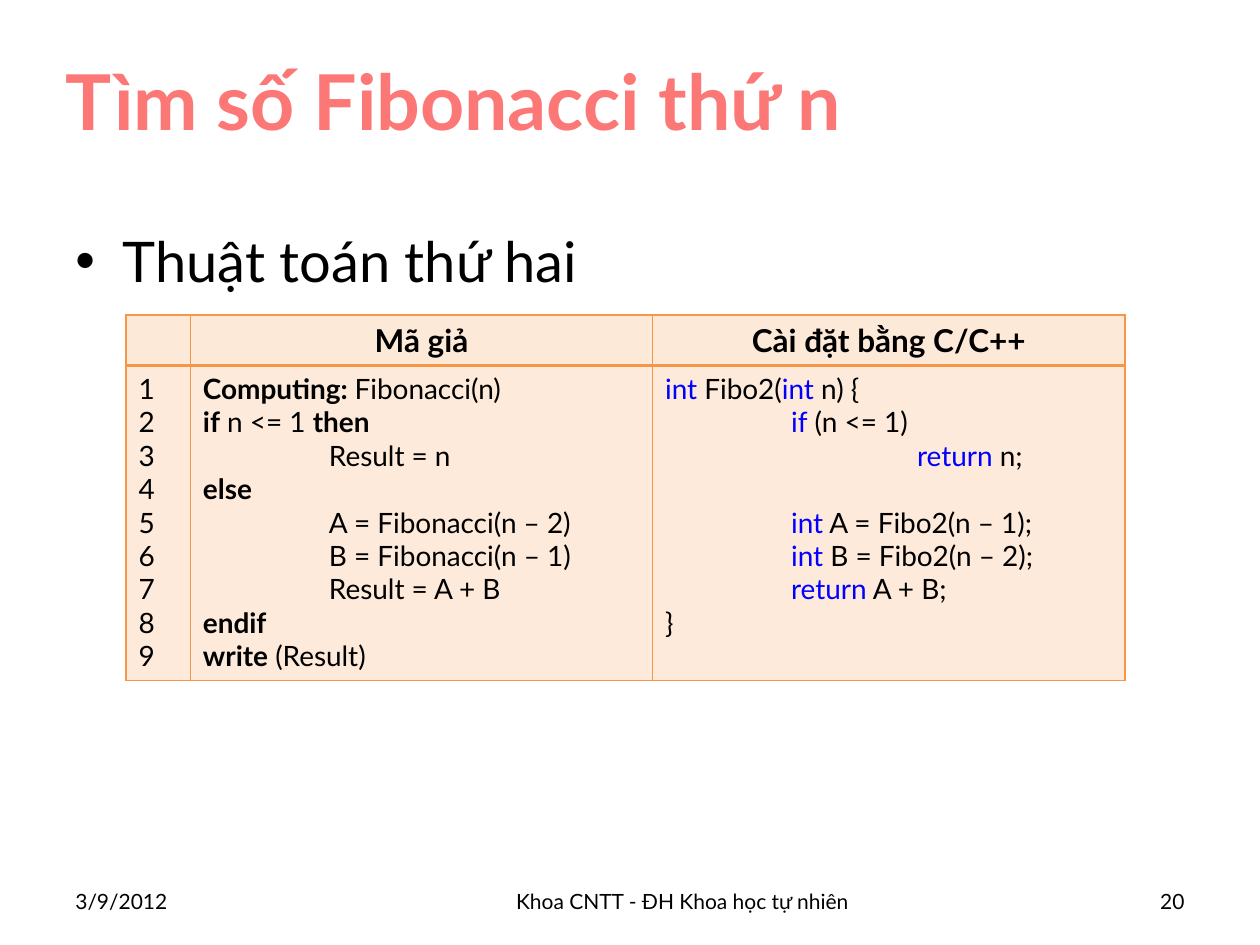
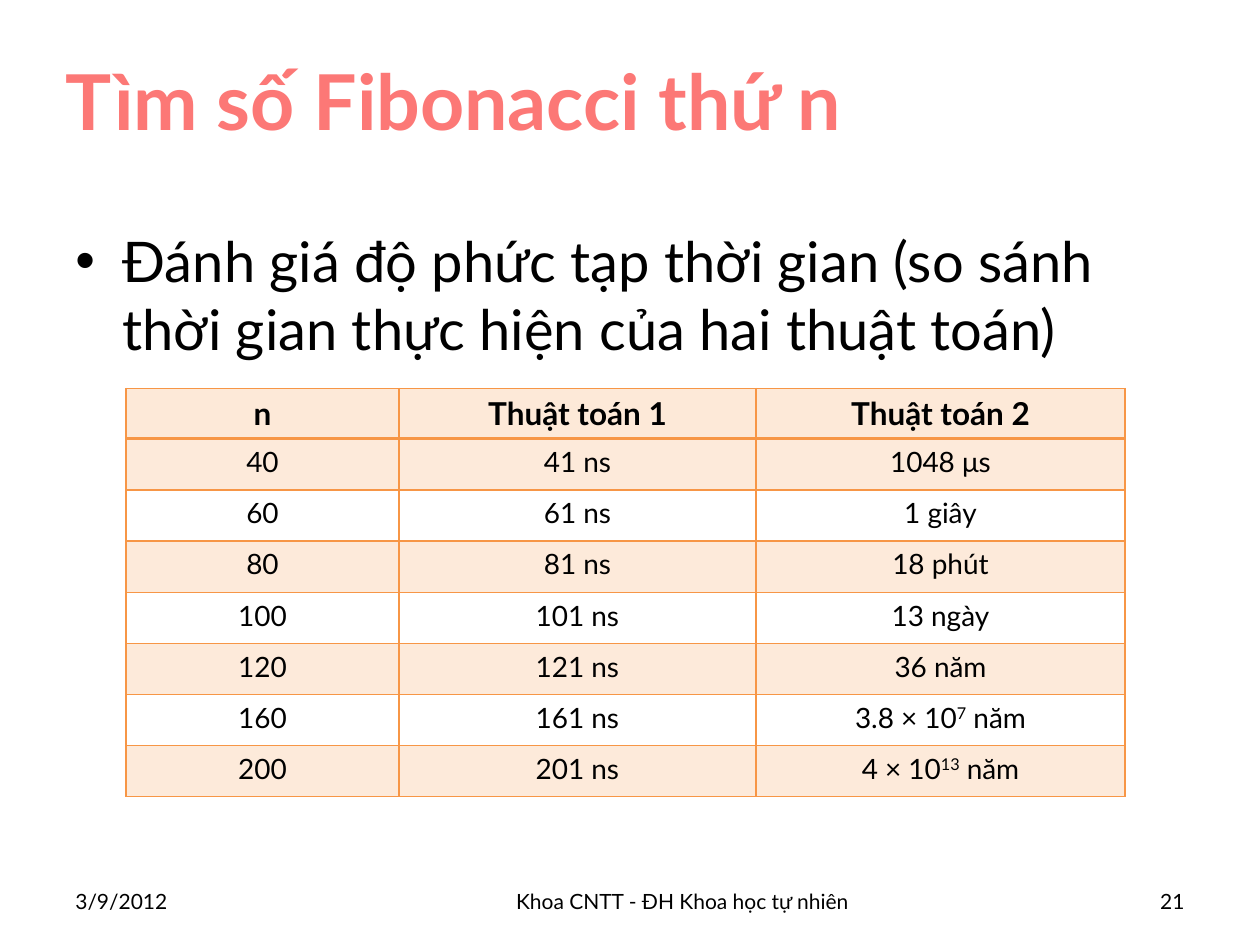
import pptx
import pptx.util
import pptx.dml.color
import pptx.enum.text
from lxml import etree

Pt = pptx.util.Pt
ALIGN = pptx.enum.text.PP_ALIGN
ANCHOR = pptx.enum.text.MSO_ANCHOR

# Shared look
FONT = "Lato"
CORAL, BLACK, BLUE = "FC7876", "000000", "0000FF"
ORANGE, HEADER_FILL = "F79646", "FDE9D8"
TABLE_LEFT = 72
HEADER_HEIGHT, ROW_HEIGHT = 28.6, 29.2
FOOTER_TOP, FOOTER_HEIGHT = 500.5, 28.8
TAB_WIDTH = 72

# Content: text between bars takes the mark of its column
TITLE = "Tìm số Fibonacci thứ n"
DATE = "3/9/2012"
FOOTER = "Khoa CNTT - ĐH Khoa học tự nhiên"

PSEUDOCODE = [
    "|Computing: |Fibonacci(n)",
    "|if| n <= 1 |then|",
    "\tResult = n",
    "|else|",
    "\tA = Fibonacci(n – 2)",
    "\tB = Fibonacci(n – 1)",
    "\tResult = A + B",
    "|endif|",
    "|write| (Result)",
]
C_CODE = [
    "|int| Fibo2(|int| n) {",
    "\t|if| (n <= 1)",
    "\t\t|return| n;",
    "",
    "\t|int| A = Fibo2(n – 1);",
    "\t|int| B = Fibo2(n – 2);",
    "\t|return| A + B;",
    "}",
]
LINE_NUMBERS = [str(i + 1) for i in range(len(PSEUDOCODE))]

SLIDES = [
    {
        "number": 20,
        "bullet": "Thuật toán thứ hai",
        "top": 180,
        "cols": [36.8, 264.1, 270],
        "header": ["", "Mã giả", "Cài đặt bằng C/C++"],
        "rows": [[LINE_NUMBERS, PSEUDOCODE, C_CODE]],
        "marks": ["bold", "bold", "blue"],
        "align": ALIGN.LEFT,
    },
    {
        "number": 21,
        "bullet": "Đánh giá độ phức tạp thời gian (so sánh thời gian "
                  "thực hiện của hai thuật toán)",
        "top": 222,
        "cols": [156, 204, 210.9],
        "header": ["n", "Thuật toán 1", "Thuật toán 2"],
        "rows": [
            [["40"], ["41 ns"], ["1048 μs"]],
            [["60"], ["61 ns"], ["1 giây"]],
            [["80"], ["81 ns"], ["18 phút"]],
            [["100"], ["101 ns"], ["13 ngày"]],
            [["120"], ["121 ns"], ["36 năm"]],
            [["160"], ["161 ns"], ["3.8 × 10|7| năm"]],
            [["200"], ["201 ns"], ["4 × 10|13| năm"]],
        ],
        "marks": ["super"] * 3,
        "align": ALIGN.CENTER,
    },
]


def rgb(hex_color):
    return pptx.dml.color.RGBColor.from_string(hex_color)


def add_xml(parent, tag, **attributes):
    element = etree.SubElement(parent, pptx.oxml.ns.qn(tag))
    for name, value in attributes.items():
        element.set(name, str(value))
    return element


def style(font, size, color=BLACK, bold=False):
    font.name, font.size, font.bold = FONT, Pt(size), bold
    font.color.rgb = rgb(color)


def add_text(s, text, left, top, width, height, size, color=BLACK, bold=False,
             align=ALIGN.LEFT, anchor=ANCHOR.MIDDLE):
    tf = s.shapes.add_textbox(Pt(left), Pt(top), Pt(width), Pt(height)).text_frame
    tf.word_wrap = True
    tf.vertical_anchor = anchor
    p = tf.paragraphs[0]
    p.text = text
    p.alignment = align
    style(p.runs[0].font, size, color, bold)
    return p


def add_bullet(p, indent):
    pPr = p._p.get_or_add_pPr()
    pPr.set("marL", str(Pt(indent)))
    pPr.set("indent", str(-Pt(indent)))
    add_xml(pPr, "a:buFont", typeface="Arial")
    add_xml(pPr, "a:buChar", char="•")


def add_tabs(p, count):
    tabs = add_xml(p._p.get_or_add_pPr(), "a:tabLst")
    for i in range(count):
        add_xml(tabs, "a:tab", pos=Pt(TAB_WIDTH * (i + 1)), algn="l")


def add_frame(s, number, bullet):
    """Title, bullet and footers found on every slide."""
    add_text(s, TITLE, 30.3, 12.1, 678, 90, 44, CORAL, True)
    p = add_text(s, bullet, 36, 126.1, 648, 356, 32, anchor=ANCHOR.TOP)
    add_bullet(p, 27)
    for text, left, width, align in [(DATE, 36, 78, ALIGN.LEFT),
                                     (FOOTER, 150, 480, ALIGN.CENTER),
                                     (str(number), 642, 42, ALIGN.RIGHT)]:
        add_text(s, text, left, FOOTER_TOP, width, FOOTER_HEIGHT, 12, align=align)


def set_borders(cell, top=1, bottom=1):
    tcPr = cell._tc.get_or_add_tcPr()
    for side, width in (("L", 1), ("R", 1), ("T", top), ("B", bottom)):
        line = add_xml(tcPr, "a:ln" + side, w=Pt(width))
        add_xml(add_xml(line, "a:solidFill"), "a:srgbClr", val=ORANGE)


def set_fill(cell, color, percent=100):
    cell.fill.solid()
    cell.fill.fore_color.rgb = rgb(color)
    if percent < 100:
        fill = cell._tc.tcPr[-1]
        add_xml(fill[0], "a:alpha", val=percent * 1000)


def fill_lines(cell, lines, size, align, bold=False, mark=None):
    tf = cell.text_frame
    for i, line in enumerate(lines):
        p = tf.add_paragraph() if i else tf.paragraphs[0]
        p.alignment = align
        if not line:
            end = add_xml(p._p, "a:endParaRPr", sz=size * 100)
            add_xml(end, "a:latin", typeface=FONT)
            continue
        if "\t" in line:
            add_tabs(p, line.count("\t"))
        for j, part in enumerate(line.split("|")):
            if not part:
                continue
            marked = mark if j % 2 else None
            r = p.add_run()
            r.text = part
            style(r.font, size, BLUE if marked == "blue" else BLACK,
                  bold or marked == "bold")
            if marked == "super":
                r._r.get_or_add_rPr().set("baseline", "30000")


def add_grid(s, top, cols, header, rows, marks, align):
    height = HEADER_HEIGHT + ROW_HEIGHT * len(rows)
    table = s.shapes.add_table(len(rows) + 1, len(cols), Pt(TABLE_LEFT), Pt(top),
                               Pt(sum(cols)), Pt(height)).table
    table.first_row = table.horz_banding = False
    for column, width in zip(table.columns, cols):
        column.width = Pt(width)
    for i, row in enumerate(table.rows):
        row.height = Pt(ROW_HEIGHT if i else HEADER_HEIGHT)

    for c, heading in enumerate(header):
        cell = table.cell(0, c)
        set_borders(cell, bottom=2)
        set_fill(cell, HEADER_FILL)
        fill_lines(cell, [heading], 18, ALIGN.CENTER, bold=True)

    # Odd body rows are tinted, even ones stay clear
    for i, row in enumerate(rows, start=1):
        for c, lines in enumerate(row):
            cell = table.cell(i, c)
            set_borders(cell, top=2 if i == 1 else 1)
            if i % 2:
                set_fill(cell, ORANGE, 20)
            else:
                cell.fill.background()
            fill_lines(cell, lines, 16, align, mark=marks[c])


def main():
    prs = pptx.Presentation()
    prs.slide_width, prs.slide_height = Pt(720), Pt(540)
    for page in SLIDES:
        s = prs.slides.add_slide(prs.slide_layouts[6])
        add_frame(s, page["number"], page["bullet"])
        add_grid(s, page["top"], page["cols"], page["header"], page["rows"],
                 page["marks"], page["align"])
    prs.save("out.pptx")


if __name__ == "__main__":
    main()
